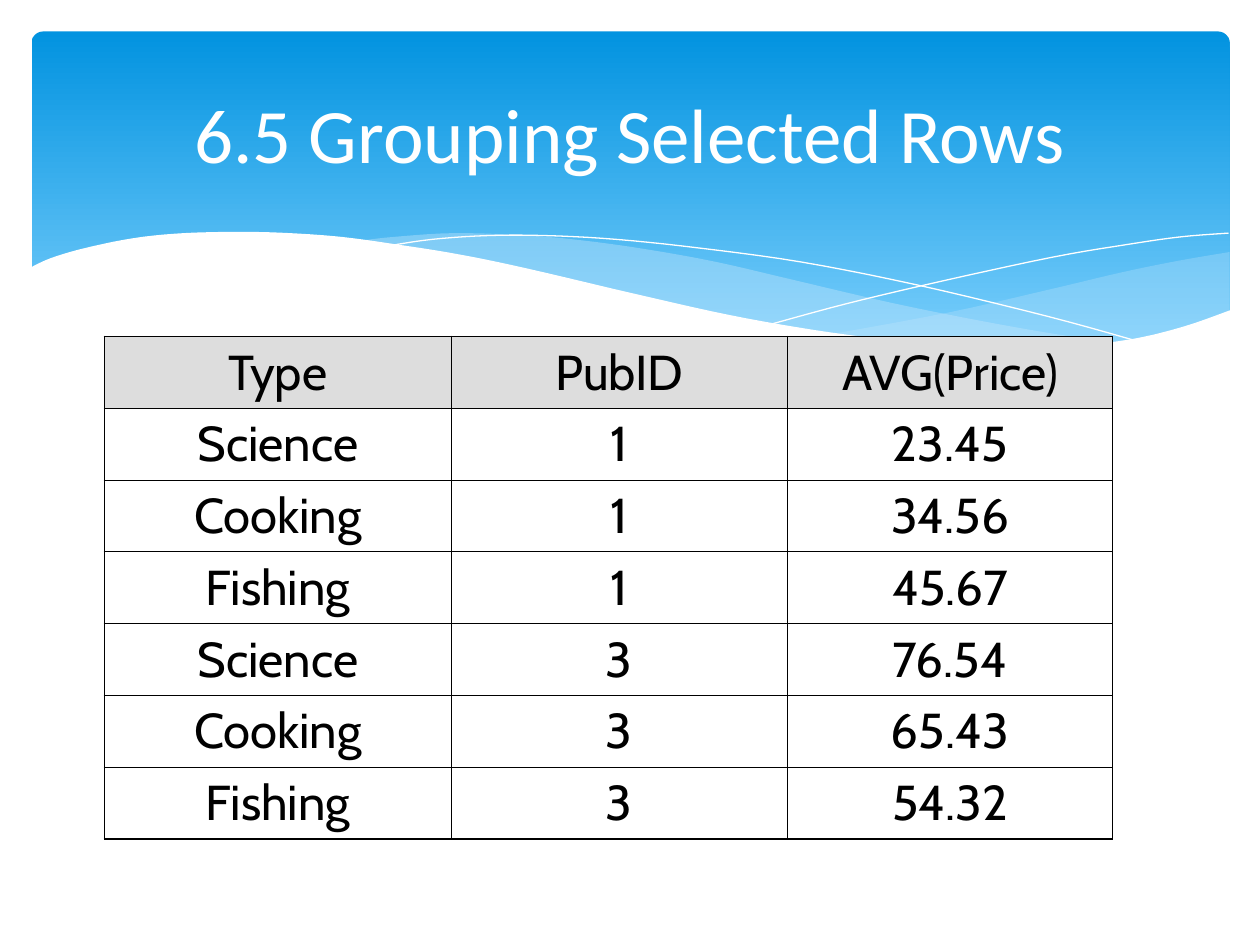
from lxml.etree import SubElement
from pptx import Presentation
from pptx.dml.color import RGBColor
from pptx.enum.shapes import MSO_SHAPE
from pptx.enum.text import MSO_ANCHOR, PP_ALIGN
from pptx.oxml.ns import qn
from pptx.util import Inches, Pt

WHITE, BLACK, PALE_BLUE, HEADER_GREY = "FFFFFF", "000000", "C6E7FC", "DDDDDD"
THIN, THICK = 0.45, 1.08

ROWS = [
    ("Type", "PubID", "AVG(Price)"),
    ("Science", "1", "23.45"),
    ("Cooking", "1", "34.56"),
    ("Fishing", "1", "45.67"),
    ("Science", "3", "76.54"),
    ("Cooking", "3", "65.43"),
    ("Fishing", "3", "54.32"),
]
COLUMN_WIDTHS = (2.75, 2.67, 2.58)
ROW_HEIGHT = 0.57

# Key points of the wave edges, in inches
RIGHT_BAND_TOP = [(9.76, 2), (9.35, 2.07), (8.91, 2.16), (8.32, 2.3),
                  (7.53, 2.48), (6.61, 2.65)]
RIGHT_BAND_BOTTOM = [(6.61, 2.65), (7.05, 2.71), (7.57, 2.76), (8.14, 2.78),
                     (8.63, 2.75), (9.05, 2.69), (9.42, 2.59), (9.76, 2.47)]
MIDDLE_BAND_TOP = [(8.93, 2.73), (8.37, 2.65), (7.75, 2.54), (7.06, 2.4),
                   (6.29, 2.22), (5.69, 2.08), (5.14, 1.98), (4.64, 1.91),
                   (4.2, 1.87), (3.61, 1.85), (3.13, 1.88), (2.86, 1.91)]
MIDDLE_BAND_BOTTOM = [(2.86, 1.91), (3.42, 1.99), (4.04, 2.11), (4.49, 2.22),
                      (5.3, 2.4), (6.01, 2.55), (6.65, 2.66), (7.22, 2.74),
                      (7.73, 2.78), (8.18, 2.79), (8.57, 2.77), (8.93, 2.73)]
FALLING_LINE = [(3.09, 1.95), (3.43, 1.9), (3.87, 1.87), (4.33, 1.87),
                (4.89, 1.9), (5.56, 1.97), (6.36, 2.08), (7.27, 2.26),
                (8.31, 2.51), (9.07, 2.72)]
RISING_LINE = [(6.13, 2.57), (6.72, 2.41), (7.48, 2.23), (8.36, 2.04),
               (8.95, 1.94), (9.37, 1.88), (9.75, 1.85)]
WHITE_WAVE = [(9.77, 2.46), (9.4, 2.59), (8.99, 2.69), (8.5, 2.75),
              (8.09, 2.77), (7.61, 2.75), (7.08, 2.7), (6.47, 2.62),
              (5.79, 2.5), (5.03, 2.33), (4.18, 2.13), (3.65, 2.02),
              (3.15, 1.94), (2.71, 1.88), (2.3, 1.85), (1.93, 1.84),
              (1.46, 1.85), (1.06, 1.89), (0.67, 1.97), (0.4, 2.05),
              (0.23, 2.13)]


def color(hex_code):
    return RGBColor.from_string(hex_code)


def smooth_curve(points, steps=5):
    """Catmull-Rom curve through the key points."""
    padded = [points[0], *points, points[-1]]
    curve = [points[0]]
    for a, b, c, d in zip(padded, padded[1:], padded[2:], padded[3:]):
        for step in range(1, steps + 1):
            t = step / steps
            curve.append(tuple(
                0.5 * (2 * q + (r - p) * t + (2 * p - 5 * q + 4 * r - s) * t**2
                       + (3 * q - p - 3 * r + s) * t**3)
                for p, q, r, s in zip(a, b, c, d)))
    return curve


def add_wave(page, points, fill=None, opacity=100, line=None):
    corners = [(Inches(x), Inches(y)) for x, y in points]
    builder = page.shapes.build_freeform(*corners[0], scale=1.0)
    builder.add_line_segments(corners[1:], close=fill is not None)
    wave = builder.convert_to_shape()
    wave.shadow.inherit = False
    if fill:
        wave.fill.solid()
        wave.fill.fore_color.rgb = color(fill)
        if opacity < 100:
            tint = wave.fill._xPr.find(qn("a:solidFill"))[0]
            SubElement(tint, qn("a:alpha"), val=str(opacity * 1000))
    else:
        wave.fill.background()
    if line:
        wave.line.color.rgb = color(line)
        wave.line.width = Pt(0)
    else:
        wave.line.fill.background()


def add_banner(page):
    banner = page.shapes.add_shape(MSO_SHAPE.ROUNDED_RECTANGLE, Inches(0.25),
                                   Inches(0.25), Inches(9.51), Inches(2.7))
    banner.adjustments[0] = 0.034
    banner.shadow.inherit = False
    banner.line.fill.background()
    banner.fill.gradient()
    banner.fill.gradient_angle = 270
    for stop, (position, shade) in zip(banner.fill.gradient_stops,
                                       [(0, "0293E0"), (1, "83D3FE")]):
        stop.position = position
        stop.color.rgb = color(shade)


def write_text(frame, text, *, size, font, shade):
    frame.vertical_anchor = MSO_ANCHOR.MIDDLE
    para = frame.paragraphs[0]
    para.alignment = PP_ALIGN.CENTER
    span = para.add_run()
    span.text = text
    span.font.size = Pt(size)
    span.font.name = font
    span.font.bold = False
    span.font.color.rgb = color(shade)


def add_title(page, text):
    box = page.shapes.add_textbox(Inches(0.5), Inches(0.37), Inches(9), Inches(1.37))
    box.text_frame.word_wrap = True
    write_text(box.text_frame, text, size=44, font="Calibri", shade=WHITE)


def set_borders(cell, **widths):
    properties = cell._tc.get_or_add_tcPr()
    for side in "LRTB":
        edge = SubElement(properties, qn(f"a:ln{side}"), w=str(Pt(widths[side])))
        fill = SubElement(edge, qn("a:solidFill"))
        SubElement(fill, qn("a:srgbClr"), val=BLACK)


def add_price_table(page):
    last_row, last_column = len(ROWS) - 1, len(COLUMN_WIDTHS) - 1
    table = page.shapes.add_table(
        len(ROWS), len(COLUMN_WIDTHS), Inches(0.83), Inches(2.67),
        Inches(sum(COLUMN_WIDTHS)), Inches(ROW_HEIGHT * len(ROWS))).table
    table.first_row = table.horz_banding = False
    for column, width in zip(table.columns, COLUMN_WIDTHS):
        column.width = Inches(width)
    for i, values in enumerate(ROWS):
        table.rows[i].height = Inches(ROW_HEIGHT)
        for j, value in enumerate(values):
            cell = table.cell(i, j)
            # Thick lines on the outer frame only
            set_borders(cell,
                        L=THICK if j == 0 else THIN,
                        R=THICK if j == last_column else THIN,
                        T=THICK if i == 0 else THIN,
                        B=THICK if i == last_row else THIN)
            if i == 0:
                cell.fill.solid()
                cell.fill.fore_color.rgb = color(HEADER_GREY)
            else:
                cell.fill.background()
            write_text(cell.text_frame, value, size=28, font="Cabin", shade=BLACK)


def main():
    deck = Presentation()
    deck.slide_width, deck.slide_height = Inches(10), Inches(7.5)
    page = deck.slides.add_slide(deck.slide_layouts[6])

    # Blue banner with its waves
    add_banner(page)
    add_wave(page, smooth_curve(RIGHT_BAND_TOP) + smooth_curve(RIGHT_BAND_BOTTOM),
             fill=PALE_BLUE, opacity=29)
    add_wave(page, smooth_curve(MIDDLE_BAND_TOP) + smooth_curve(MIDDLE_BAND_BOTTOM),
             fill=PALE_BLUE, opacity=40)
    for points in (FALLING_LINE, RISING_LINE):
        add_wave(page, smooth_curve(points), line=WHITE)
    add_wave(page, smooth_curve(WHITE_WAVE) + [(0.23, 3.29), (9.77, 3.29)], fill=WHITE)

    # Title and table
    add_title(page, "6.5 Grouping Selected Rows")
    add_price_table(page)
    deck.save("out.pptx")


if __name__ == "__main__":
    main()
